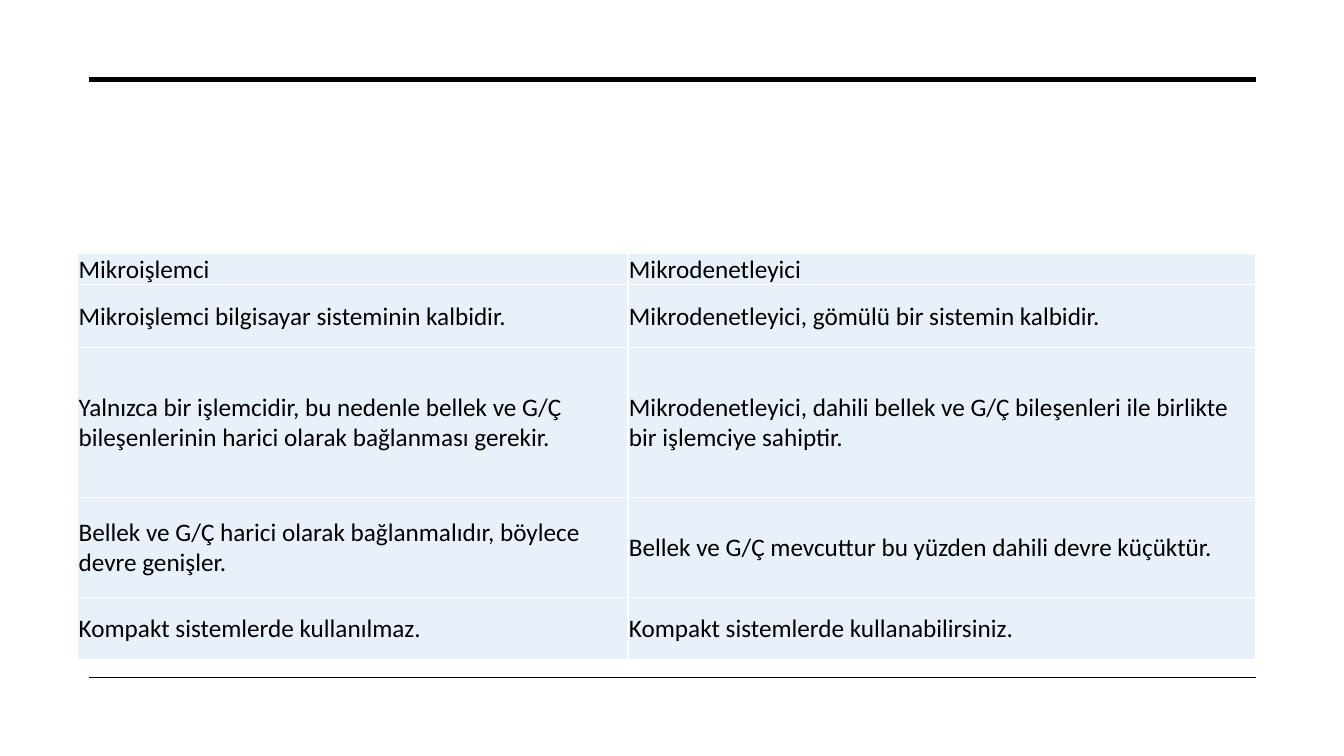
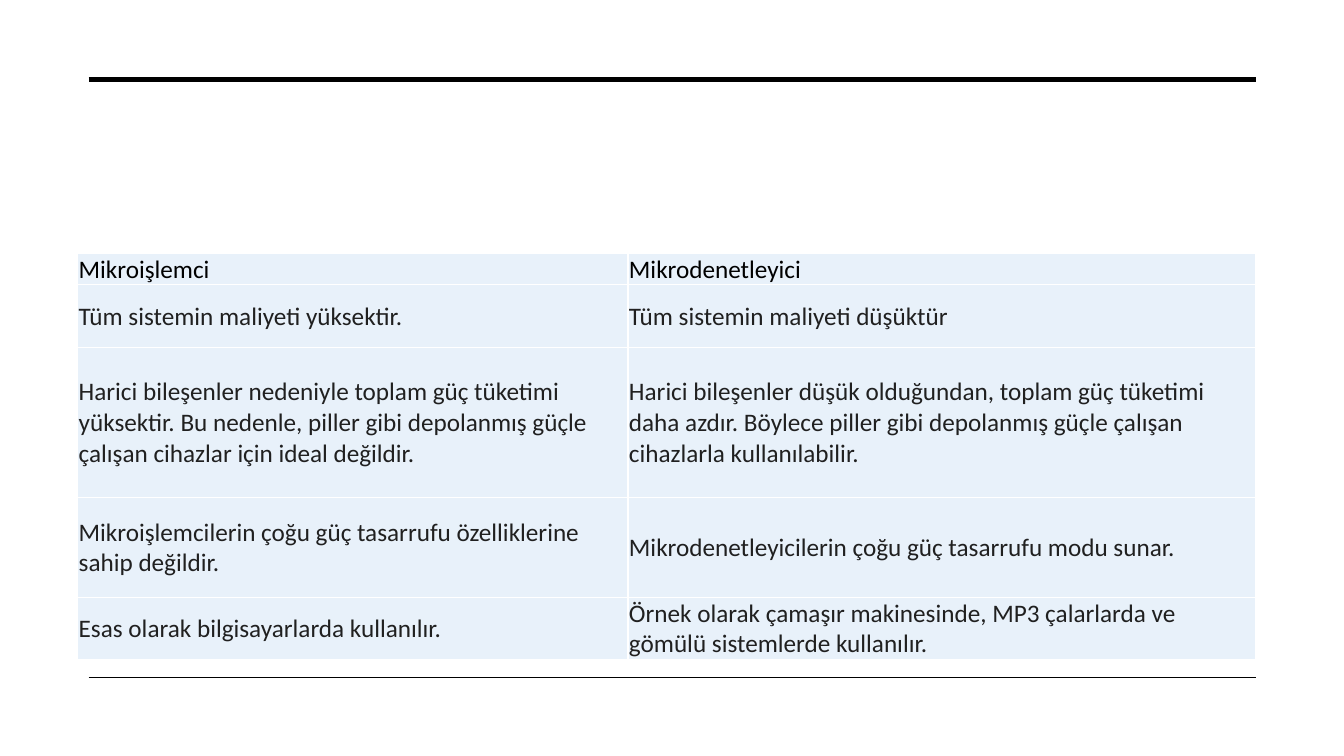
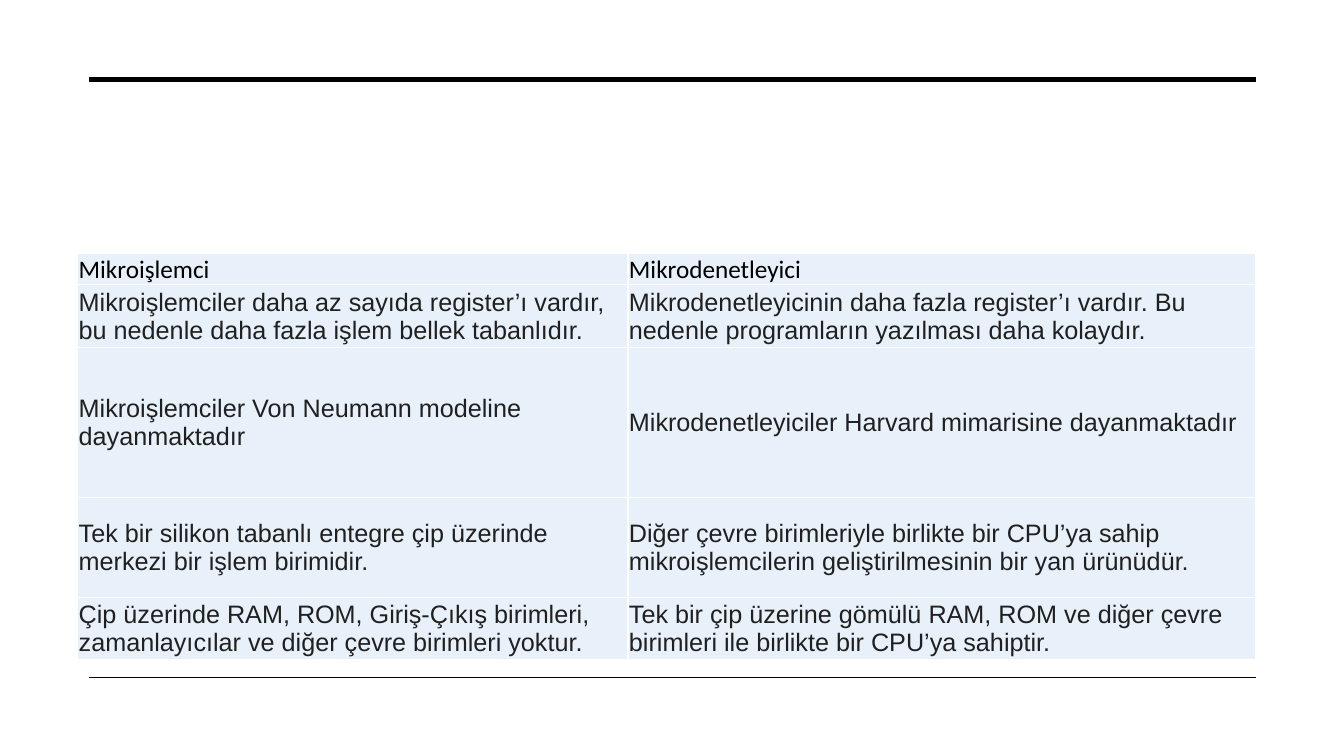
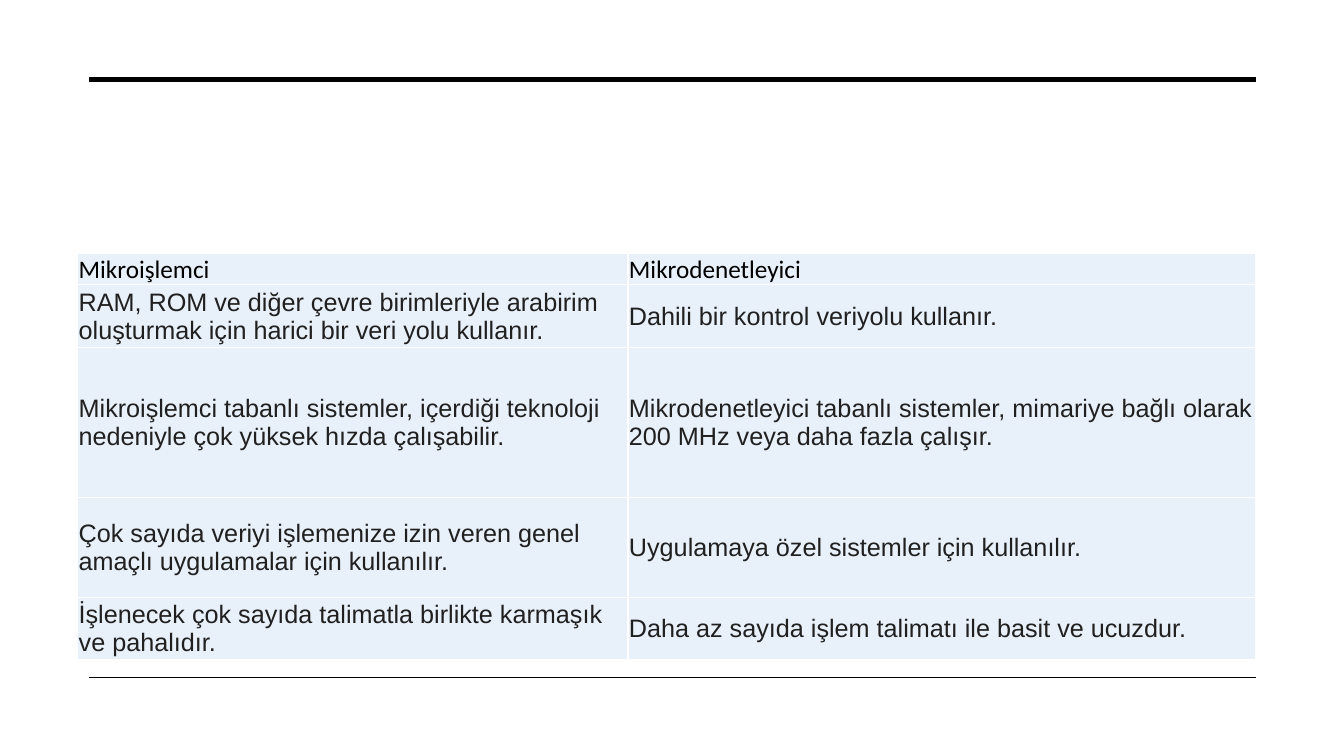
from lxml.etree import SubElement
from pptx import Presentation
from pptx.dml.color import RGBColor
from pptx.enum.shapes import MSO_CONNECTOR as CONN
from pptx.enum.text import MSO_ANCHOR as ANCHOR
from pptx.oxml.ns import qn
from pptx.util import Pt

# Shared look
BLACK = RGBColor(0x00, 0x00, 0x00)
INK = RGBColor(0x20, 0x20, 0x20)
WHITE = RGBColor(0xFF, 0xFF, 0xFF)
PALE_BLUE = RGBColor(0xE8, 0xF1, 0xFA)

SLIDE_W, SLIDE_H = 960, 540
FRAME = (63.4, 56.9, 833.7, 426.9)      # left, top, width, height
TABLE = (55.5, 180.8, 841.7)            # left, top, width
LEFT_SHARE = 0.467                      # left column's part of the width
ROW_HEIGHTS = (22.4, 44.6, 107.2, 71.3, 44.6)
CELL_FORMAT = {"vertical_anchor": ANCHOR.MIDDLE, "margin_left": Pt(0.72),
               "margin_right": Pt(0.72), "margin_top": Pt(0.72), "margin_bottom": 0}

# Slide contents: body font, body colour, rows below the header
HEADER = ("Mikroişlemci", "Mikrodenetleyici")
SLIDES = [
    ("Calibri", BLACK, [
        ("Mikroişlemci bilgisayar sisteminin kalbidir.",
         "Mikrodenetleyici, gömülü bir sistemin kalbidir."),
        ("Yalnızca bir işlemcidir, bu nedenle bellek ve G/Ç bileşenlerinin harici olarak "
         "bağlanması gerekir.",
         "Mikrodenetleyici, dahili bellek ve G/Ç bileşenleri ile birlikte bir işlemciye sahiptir."),
        ("Bellek ve G/Ç harici olarak bağlanmalıdır, böylece devre genişler.",
         "Bellek ve G/Ç mevcuttur bu yüzden dahili devre küçüktür."),
        ("Kompakt sistemlerde kullanılmaz.",
         "Kompakt sistemlerde kullanabilirsiniz."),
    ]),
    ("Calibri", INK, [
        ("Tüm sistemin maliyeti yüksektir.",
         "Tüm sistemin maliyeti düşüktür"),
        ("Harici bileşenler nedeniyle toplam güç tüketimi yüksektir. Bu nedenle, piller gibi "
         "depolanmış güçle çalışan cihazlar için ideal değildir.",
         "Harici bileşenler düşük olduğundan, toplam güç tüketimi daha azdır. Böylece piller "
         "gibi depolanmış güçle çalışan cihazlarla kullanılabilir."),
        ("Mikroişlemcilerin çoğu güç tasarrufu özelliklerine sahip değildir.",
         "Mikrodenetleyicilerin çoğu güç tasarrufu modu sunar."),
        ("Esas olarak bilgisayarlarda kullanılır.",
         "Örnek olarak çamaşır makinesinde, MP3 çalarlarda ve gömülü sistemlerde kullanılır."),
    ]),
    ("Arial", INK, [
        ("Mikroişlemciler daha az sayıda register’ı vardır, bu nedenle daha fazla işlem "
         "bellek tabanlıdır.",
         "Mikrodenetleyicinin daha fazla register’ı vardır. Bu nedenle programların "
         "yazılması daha kolaydır."),
        ("Mikroişlemciler Von Neumann modeline dayanmaktadır",
         "Mikrodenetleyiciler Harvard mimarisine dayanmaktadır"),
        ("Tek bir silikon tabanlı entegre çip üzerinde merkezi bir işlem birimidir.",
         "Diğer çevre birimleriyle birlikte bir CPU’ya sahip mikroişlemcilerin "
         "geliştirilmesinin bir yan ürünüdür."),
        ("Çip üzerinde RAM, ROM, Giriş-Çıkış birimleri, zamanlayıcılar ve diğer çevre "
         "birimleri yoktur.",
         "Tek bir çip üzerine gömülü RAM, ROM ve diğer çevre birimleri ile birlikte bir "
         "CPU’ya sahiptir."),
    ]),
    ("Arial", INK, [
        ("RAM, ROM ve diğer çevre birimleriyle arabirim oluşturmak için harici bir veri "
         "yolu kullanır.",
         "Dahili bir kontrol veriyolu kullanır."),
        ("Mikroişlemci tabanlı sistemler, içerdiği teknoloji nedeniyle çok yüksek hızda "
         "çalışabilir.",
         "Mikrodenetleyici tabanlı sistemler, mimariye bağlı olarak 200 MHz veya daha "
         "fazla çalışır."),
        ("Çok sayıda veriyi işlemenize izin veren genel amaçlı uygulamalar için kullanılır.",
         "Uygulamaya özel sistemler için kullanılır."),
        ("İşlenecek çok sayıda talimatla birlikte karmaşık ve pahalıdır.",
         "Daha az sayıda işlem talimatı ile basit ve ucuzdur."),
    ]),
]


def set_all(obj, values):
    for name, value in values.items():
        setattr(obj, name, value)


def add_frame(s, box):
    """Thick rule along the top of the box, thin rule along its bottom."""
    x, y, w, h = box
    for rule_y, weight in ((y, 3.5), (y + h, 1)):
        rule = s.shapes.add_connector(CONN.STRAIGHT, Pt(x), Pt(rule_y), Pt(x + w), Pt(rule_y))
        rule.line.color.rgb = BLACK
        rule.line.width = Pt(weight)
        SubElement(rule._element.spPr, qn("a:effectLst"))


def add_borders(cell):
    tc_pr = cell._tc.get_or_add_tcPr()
    for side in ("lnL", "lnR", "lnT", "lnB"):
        ln = SubElement(tc_pr, qn(f"a:{side}"), w=str(Pt(1)))
        fill = SubElement(ln, qn("a:solidFill"))
        SubElement(fill, qn("a:srgbClr"), val=str(WHITE))


def fill_cell(cell, text, font, color):
    add_borders(cell)
    cell.fill.solid()
    cell.fill.fore_color.rgb = PALE_BLUE
    set_all(cell, CELL_FORMAT)
    r = cell.text_frame.paragraphs[0].add_run()
    r.text = text
    set_all(r.font, {"name": font, "size": Pt(18), "bold": False})
    r.font.color.rgb = color


def add_comparison(s, box, font, color, body):
    """Two-column table with a header row."""
    x, y, w = box
    rows = [HEADER, *body]
    table = s.shapes.add_table(len(rows), len(HEADER), Pt(x), Pt(y), Pt(w),
                               Pt(sum(ROW_HEIGHTS))).table
    set_all(table, {"first_row": False, "horz_banding": False})
    for col, share in zip(table.columns, (LEFT_SHARE, 1 - LEFT_SHARE)):
        col.width = Pt(w * share)
    for i, (row, height, texts) in enumerate(zip(table.rows, ROW_HEIGHTS, rows)):
        row.height = Pt(height)
        style = (font, color) if i else ("Calibri", BLACK)
        for cell, text in zip(row.cells, texts):
            fill_cell(cell, text, *style)


def main():
    prs = Presentation()
    set_all(prs, {"slide_width": Pt(SLIDE_W), "slide_height": Pt(SLIDE_H)})
    for font, color, body in SLIDES:
        s = prs.slides.add_slide(prs.slide_layouts[6])
        add_frame(s, FRAME)
        add_comparison(s, TABLE, font, color, body)
    prs.save("out.pptx")


if __name__ == "__main__":
    main()
